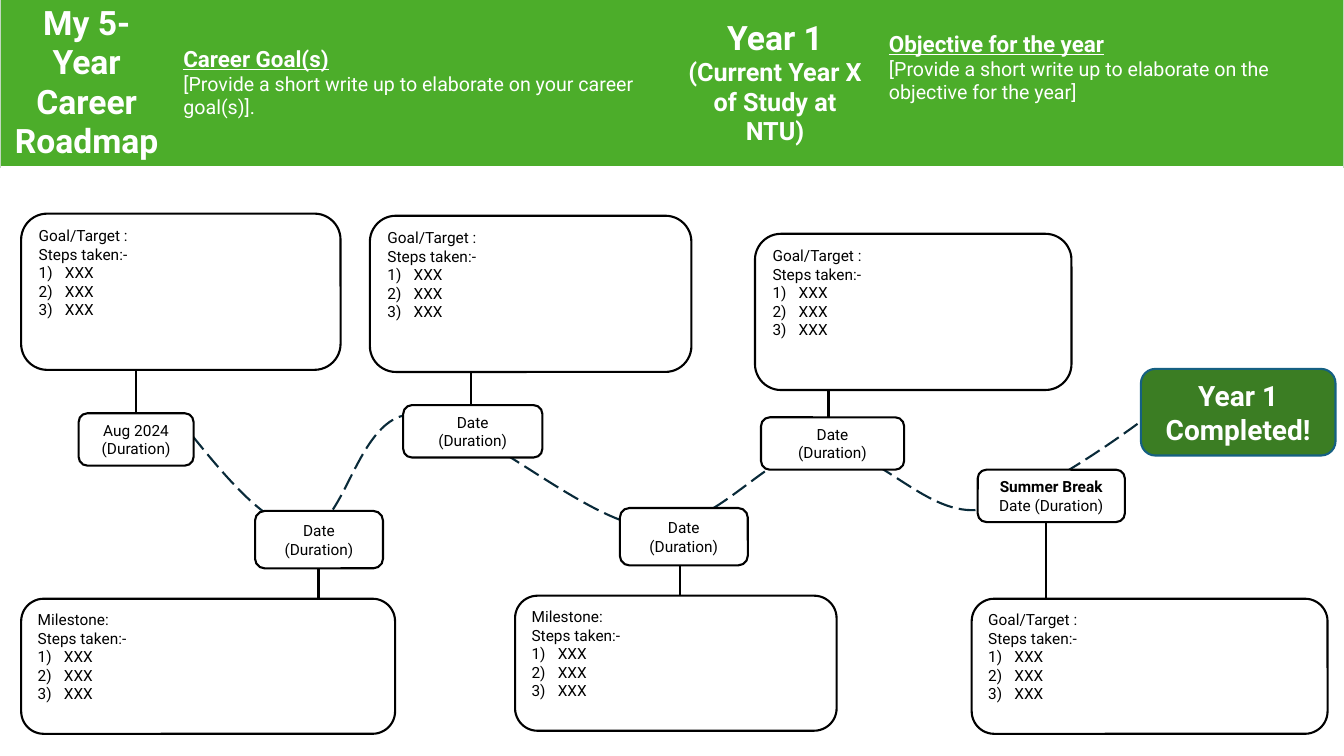
from lxml.etree import SubElement
from pptx import Presentation
from pptx.dml.color import RGBColor
from pptx.enum.dml import MSO_LINE
from pptx.enum.shapes import MSO_CONNECTOR, MSO_SHAPE
from pptx.enum.text import MSO_ANCHOR, PP_ALIGN
from pptx.oxml import parse_xml
from pptx.oxml.ns import nsdecls, qn
from pptx.util import Pt

BLACK, WHITE, BANNER_GREEN = "000000", "FFFFFF", "4CAD2A"
DONE_GREEN, DONE_EDGE, ROAD_NAVY, PALE_GREEN = "3B7D23", "156082", "092A39", "C2D9BE"
NO_STYLE = "{2D5ABB26-0587-4C30-8999-92F81FD0307C}"

SMALL = {"size": Pt(11)}
SMALL_BOLD = {"size": Pt(11), "bold": True}
HEADING = {"size": Pt(24), "bold": True}
SUBHEADING = {"size": Pt(18), "bold": True}
LABEL = {"size": Pt(16), "bold": True, "underline": True}
BODY = {"size": Pt(14)}

DATE = [("Date", SMALL), ("(Duration)", SMALL)]
START = [("Aug 2024", SMALL), ("(Duration)", SMALL)]
BREAK = [("Summer Break", SMALL_BOLD), ("Date (Duration)", SMALL)]
STEPS = ["XXX"] * 3

STOPS = [
    ("Milestone:", (367.9, 425.5, 229.7, 96.5), DATE, (442.8, 362.9, 91.4, 41), (486, 367.9, 439.9)),
    ("Goal/Target :", (15.1, 152.6, 228.2, 111.6), START, (56.2, 295.2, 82.1, 37.4), (97.2, 254.2, 320.4)),
    ("Goal/Target :", (264.2, 154.1, 229.7, 111.6), DATE, (288, 289.4, 99.4, 37.4), (336.2, 244.8, 311.8)),
    ("Goal/Target :", (694.1, 427.7, 254.2, 96.5), BREAK, (698.4, 335.5, 105.1, 37.4), (747.4, 373.7, 439.9)),
    ("Goal/Target :", (539.3, 167, 226.1, 111.6), DATE, (543.6, 298.1, 102.2, 37.4), (591.8, 239, 305.3)),
    ("Milestone:", (15.1, 427.7, 267.1, 96.5), DATE, (182.2, 365, 91.4, 41), (227.5, 381.6, 453.6)),
]

ROAD = [
    (127.4, 298.8),
    (159.1, 338.4), (190.8, 378.7), (218.9, 378),
    (247, 378), (254.9, 295.9), (295.2, 295.9),
    (336.2, 295.2), (415.4, 372.2), (463.7, 376.6),
    (511.9, 380.2), (546.5, 321.8), (585.4, 319.7),
    (625, 317.5), (658.8, 367.2), (697.7, 364.3),
    (736.6, 360.7), (817.9, 298.8), (817.9, 298.8),
    (838.1, 287.3), (828, 292.3), (817.9, 297.4),
]

BANNER = [
    (123.8, PP_ALIGN.CENTER, 3.6, [("My 5-Year Career Roadmap", HEADING)]),
    (355.7, PP_ALIGN.LEFT, 3.6, [
        ("Career Goal(s)", LABEL),
        ("[Provide a short write up to elaborate on your career goal(s)].", BODY)]),
    (148.3, PP_ALIGN.CENTER, 3.6, [
        ("Year 1", HEADING), ("(Current Year X of Study at NTU)", SUBHEADING)]),
    (331.9, PP_ALIGN.LEFT, 25, [
        ("Objective for the year", LABEL),
        ("[Provide a short write up to elaborate on the objective for the year]", BODY)]),
]


def color(value):
    return RGBColor.from_string(value)


def apply(target, formats):
    for attribute, value in formats.items():
        setattr(target, attribute, value)


def paint(target, value):
    target.fill.solid()
    target.fill.fore_color.rgb = color(value)


def outline(line, value):
    line.color.rgb = color(value)
    line.width = Pt(1.5)


def write(frame, lines, ink, align):
    frame.word_wrap = True
    for index, (text, formats) in enumerate(lines):
        paragraph = frame.paragraphs[0] if index == 0 else frame.add_paragraph()
        paragraph.alignment = align
        run = paragraph.add_run()
        run.text = text
        apply(run.font, {"name": "Roboto", **formats})
        run.font.color.rgb = color(ink)


def number(paragraph):
    properties = paragraph._p.get_or_add_pPr()
    properties.set("marL", str(Pt(18.7)))
    properties.set("indent", str(-Pt(18.7)))
    SubElement(properties, qn("a:buAutoNum"), type="arabicParenR")


def add_box(slide, place, lines, anchor, align, fill=WHITE, edge=BLACK, ink=BLACK):
    box = slide.shapes.add_shape(MSO_SHAPE.ROUNDED_RECTANGLE, *map(Pt, place))
    box.shadow.inherit = False
    paint(box, fill)
    outline(box.line, edge)
    box.text_frame.vertical_anchor = anchor
    write(box.text_frame, lines, ink, align)
    return box


def add_stem(slide, x, top, bottom):
    stem = slide.shapes.add_connector(MSO_CONNECTOR.STRAIGHT, Pt(x), Pt(top), Pt(x), Pt(bottom))
    outline(stem.line, BLACK)
    SubElement(stem._element.spPr, qn("a:effectLst"))


def add_stop(slide, title, card_place, date_lines, date_place, stem_place):
    add_stem(slide, *stem_place)
    card_lines = [(text, SMALL) for text in [title, "Steps taken:-", *STEPS]]
    card = add_box(slide, card_place, card_lines, MSO_ANCHOR.TOP, PP_ALIGN.LEFT)
    for step in card.text_frame.paragraphs[-len(STEPS):]:
        number(step)
    add_box(slide, date_place, date_lines, MSO_ANCHOR.MIDDLE, PP_ALIGN.CENTER)


def add_road(slide):
    points = [(Pt(x), Pt(y)) for x, y in ROAD]
    builder = slide.shapes.build_freeform(*points[0])
    builder.add_line_segments(points[1:], close=False)
    road = builder.convert_to_shape()
    road.shadow.inherit = False
    road.fill.background()
    outline(road.line, ROAD_NAVY)
    road.line.dash_style = MSO_LINE.LONG_DASH
    segments = list(road._element.iter(qn("a:lnTo")))
    track = segments[0].getparent()
    for start in range(0, len(segments), 3):
        curve = SubElement(track, qn("a:cubicBezTo"))
        for segment in segments[start:start + 3]:
            curve.append(segment[0])
            track.remove(segment)


def add_borders(cell, borders):
    properties = cell._tc.get_or_add_tcPr()
    for index, (side, (value, width)) in enumerate(borders.items()):
        properties.insert(index, parse_xml(
            f'<a:{side} {nsdecls("a")} w="{Pt(width)}"><a:solidFill>'
            f'<a:srgbClr val="{value}"/></a:solidFill></a:{side}>'))


def add_banner(slide):
    width = sum(column[0] for column in BANNER)
    frame = slide.shapes.add_table(1, len(BANNER), 0, Pt(-0.7), Pt(width), Pt(105.8))
    banner = frame.table
    apply(banner, {"first_row": False, "horz_banding": False})
    banner._tbl.tblPr.find(qn("a:tableStyleId")).text = NO_STYLE
    for index, (width, align, bottom, lines) in enumerate(BANNER):
        banner.columns[index].width = Pt(width)
        cell = banner.cell(0, index)
        apply(cell, {"vertical_anchor": MSO_ANCHOR.MIDDLE, "margin_bottom": Pt(bottom)})
        paint(cell, BANNER_GREEN)
        write(cell.text_frame, lines, WHITE, align)
        borders = {"lnT": (PALE_GREEN, 1), "lnB": (WHITE, 2)}
        if index == 0:
            borders = {"lnL": (PALE_GREEN, 1), **borders}
        if index == len(BANNER) - 1:
            borders = {"lnR": (PALE_GREEN, 1), **borders}
        add_borders(cell, borders)


def main():
    deck = Presentation()
    apply(deck, {"slide_width": Pt(960), "slide_height": Pt(540)})
    slide = deck.slides.add_slide(deck.slide_layouts[6])
    add_road(slide)
    add_box(slide, (815, 263.5, 139, 61.9),
            [("Year 1 Completed!", {"size": Pt(20), "bold": True})],
            MSO_ANCHOR.MIDDLE, PP_ALIGN.CENTER, DONE_GREEN, DONE_EDGE, WHITE)
    for stop in STOPS:
        add_stop(slide, *stop)
    add_banner(slide)
    deck.save("out.pptx")


if __name__ == "__main__":
    main()
